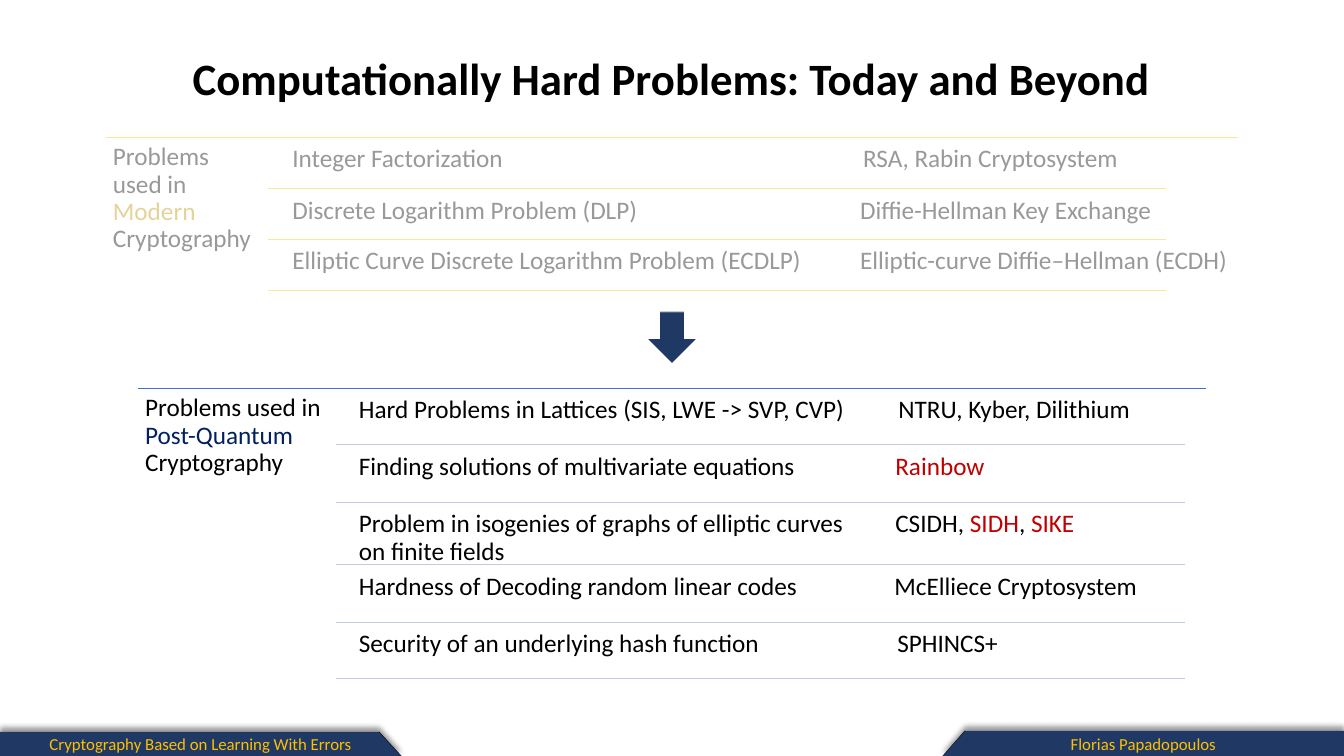
import pptx
import pptx.util
import pptx.dml.color
import pptx.enum.shapes
import pptx.enum.text
import pptx.oxml
import pptx.oxml.ns

Inches, Pt = pptx.util.Inches, pptx.util.Pt
RGBColor = pptx.dml.color.RGBColor
SHAPE = pptx.enum.shapes.MSO_SHAPE
ANCHOR = pptx.enum.text.MSO_ANCHOR
CENTER = pptx.enum.text.PP_ALIGN.CENTER

BLACK = RGBColor(0x00, 0x00, 0x00)
WHITE = RGBColor(0xFF, 0xFF, 0xFF)
NAVY = RGBColor(0x20, 0x38, 0x64)
GOLD = RGBColor(0xFF, 0xC0, 0x00)
DARK_GOLD = RGBColor(0xBF, 0x90, 0x00)
BLUE = RGBColor(0x44, 0x72, 0xC4)
PALE_BLUE = RGBColor(0xC1, 0xC9, 0xE4)
DEEP_BLUE = RGBColor(0x00, 0x20, 0x60)
RED = RGBColor(0xC0, 0x00, 0x00)

# Content: runs are (text, colour); rows are (height, problem, example left, example runs)
TITLE = "Computationally Hard Problems: Today and Beyond"
TOPIC = "Cryptography Based on Learning With Errors"
AUTHOR = "Florias Papadopoulos"
MODERN = {
    "heading": [("Problems used in ", BLACK), ("Modern", DARK_GOLD), (" Cryptography", BLACK)],
    "left": 1.05, "right": 12.28, "top": 1.36,
    "row_left": 2.66, "row_right": 11.56, "problem_left": 2.83, "problem_width": 5.47,
    "top_rule": GOLD, "row_rule": GOLD,
    "rows": [
        (0.51, "Integer Factorization", 8.49, [("RSA, Rabin Cryptosystem", BLACK)]),
        (0.5, "Discrete Logarithm Problem (DLP)", 8.46, [("Diffie-Hellman Key Exchange", BLACK)]),
        (0.51, "Elliptic Curve Discrete Logarithm Problem (ECDLP)", 8.46,
         [("Elliptic-curve Diffie–Hellman (ECDH)", BLACK)]),
    ],
}
POST_QUANTUM = {
    "heading": [("Problems used in ", BLACK), ("Post-Quantum", DEEP_BLUE), (" Cryptography", BLACK)],
    "left": 1.37, "right": 11.96, "top": 3.85,
    "row_left": 3.33, "row_right": 11.75, "problem_left": 3.49, "problem_width": 5.17,
    "top_rule": BLUE, "row_rule": PALE_BLUE,
    "rows": [
        (0.56, "Hard Problems in Lattices (SIS, LWE -> SVP, CVP)", 8.84,
         [("NTRU, Kyber, Dilithium", BLACK)]),
        (0.57, "Finding solutions of multivariate equations", 8.81, [("Rainbow", RED)]),
        (0.62, "Problem in isogenies of graphs of elliptic curves on finite fields", 8.81,
         [("CSIDH, ", BLACK), ("SIDH", RED), (", ", BLACK), ("SIKE", RED)]),
        (0.57, "Hardness of Decoding random linear codes", 8.8, [("McElliece Cryptosystem", BLACK)]),
        (0.56, "Security of an underlying hash function", 8.83, [("SPHINCS+", BLACK)]),
    ],
}
WIDTH, HEIGHT = 13.33, 7.5
EXAMPLE_WIDTH = 3.82
TEXT_DROP = 0.02
INSET = 0.07
TAB_LONG, TAB_SHORT = 3.98, 3.76
FOOTER_SHADOW = (4, 3, 270, 40)
RULE_SHADOW = (4.5, 1.5, 90, 63)

presentation = pptx.Presentation()
presentation.slide_width, presentation.slide_height = Inches(WIDTH), Inches(HEIGHT)
slide = presentation.slides.add_slide(presentation.slide_layouts[5])
shapes = slide.shapes


def set_effects(shape, shadow=None):
    """Replace the theme shadow by (blur, distance, angle, opacity) or by none."""
    outer = ""
    if shadow:
        blur, distance, angle, opacity = shadow
        outer = (f'<a:outerShdw blurRad="{Pt(blur)}" dist="{Pt(distance)}" dir="{angle * 60000}" '
                 f'rotWithShape="0"><a:srgbClr val="000000"><a:alpha val="{opacity * 1000}"/>'
                 '</a:srgbClr></a:outerShdw>')
    shape._element.spPr.append(pptx.oxml.parse_xml(
        f'<a:effectLst {pptx.oxml.ns.nsdecls("a")}>{outer}</a:effectLst>'))


def style_font(font, size, color, bold=False):
    font.name, font.size, font.bold = "Calibri", Pt(size), bold
    font.color.rgb = color


def paint(shape, color, shadow=None):
    shape.fill.solid()
    shape.fill.fore_color.rgb = color
    shape.line.fill.background()
    set_effects(shape, shadow)


def add_rule(x1, y1, x2, y2, color, weight=0.5, shadow=None):
    rule = shapes.add_connector(pptx.enum.shapes.MSO_CONNECTOR.STRAIGHT,
                                Inches(x1), Inches(y1), Inches(x2), Inches(y2))
    rule.line.color.rgb, rule.line.width = color, Pt(weight)
    set_effects(rule, shadow)


def set_insets(frame, inset):
    frame.margin_left = frame.margin_right = frame.margin_top = frame.margin_bottom = Inches(inset)


def add_text(left, top, width, height, runs):
    frame = shapes.add_textbox(Inches(left), Inches(top), Inches(width), Inches(height)).text_frame
    frame.word_wrap = True
    set_insets(frame, INSET)
    paragraph = frame.paragraphs[0]
    paragraph.line_spacing = 0.9
    for text, color in runs:
        run = paragraph.add_run()
        run.text = text
        style_font(run.font, 18, color)


def add_footer_tab(text, top, outer, direction):
    """Draw a slanted tab from the outer slide edge towards the middle."""
    shoulder, tip = outer + direction * TAB_SHORT, outer + direction * TAB_LONG
    outline = shapes.build_freeform(Inches(outer), Inches(top))
    outline.add_line_segments([(Inches(x), Inches(y)) for x, y in
                               [(shoulder, top), (tip, HEIGHT), (outer, HEIGHT)]])
    tab = outline.convert_to_shape()
    paint(tab, NAVY, FOOTER_SHADOW)
    frame = tab.text_frame
    frame.text = text
    frame.vertical_anchor = ANCHOR.MIDDLE
    set_insets(frame, 0)
    frame.paragraphs[0].alignment = CENTER
    style_font(frame.paragraphs[0].runs[0].font, 12, GOLD)
    add_rule(shoulder, top, tip, HEIGHT, BLACK, 0.25)


def add_problem_grid(era):
    top = era["top"]
    add_rule(era["left"], top, era["right"], top, era["top_rule"], shadow=RULE_SHADOW)
    add_text(era["left"], top, era["row_left"] - era["left"],
             sum(row[0] for row in era["rows"]), era["heading"])
    for height, problem, example_left, example in era["rows"]:
        text_top, text_height = top + TEXT_DROP, height - TEXT_DROP
        add_text(era["problem_left"], text_top, era["problem_width"], text_height, [(problem, BLACK)])
        add_text(example_left, text_top, EXAMPLE_WIDTH, text_height, example)
        top += height
        add_rule(era["row_left"], top, era["row_right"], top, era["row_rule"])


# Title
title = shapes.title
title.left, title.top, title.width, title.height = map(Inches, (1.77, 0.45, 9.78, 0.64))
title.text_frame.text = TITLE
title.text_frame.vertical_anchor = ANCHOR.MIDDLE
title.text_frame.paragraphs[0].alignment = CENTER
style_font(title.text_frame.paragraphs[0].runs[0].font, 32, BLACK, bold=True)

# Footer
add_footer_tab(AUTHOR, 7.25, WIDTH, -1)
add_footer_tab(TOPIC, 7.26, 0, 1)

# Both eras, with the arrow between them
add_problem_grid(MODERN)
transition = shapes.add_shape(SHAPE.DOWN_ARROW, Inches(6.43), Inches(3.09), Inches(0.47), Inches(0.51))
paint(transition, NAVY)
add_problem_grid(POST_QUANTUM)

# Translucent veil that fades the modern problems
veil = shapes.add_shape(SHAPE.ROUNDED_RECTANGLE, Inches(0.81), Inches(1.21), Inches(11.78), Inches(1.89))
paint(veil, WHITE)
veil_color = veil._element.spPr.find(".//" + pptx.oxml.ns.qn("a:srgbClr"))
veil_color.append(pptx.oxml.parse_xml(f'<a:alpha {pptx.oxml.ns.nsdecls("a")} val="60000"/>'))

presentation.save("out.pptx")
